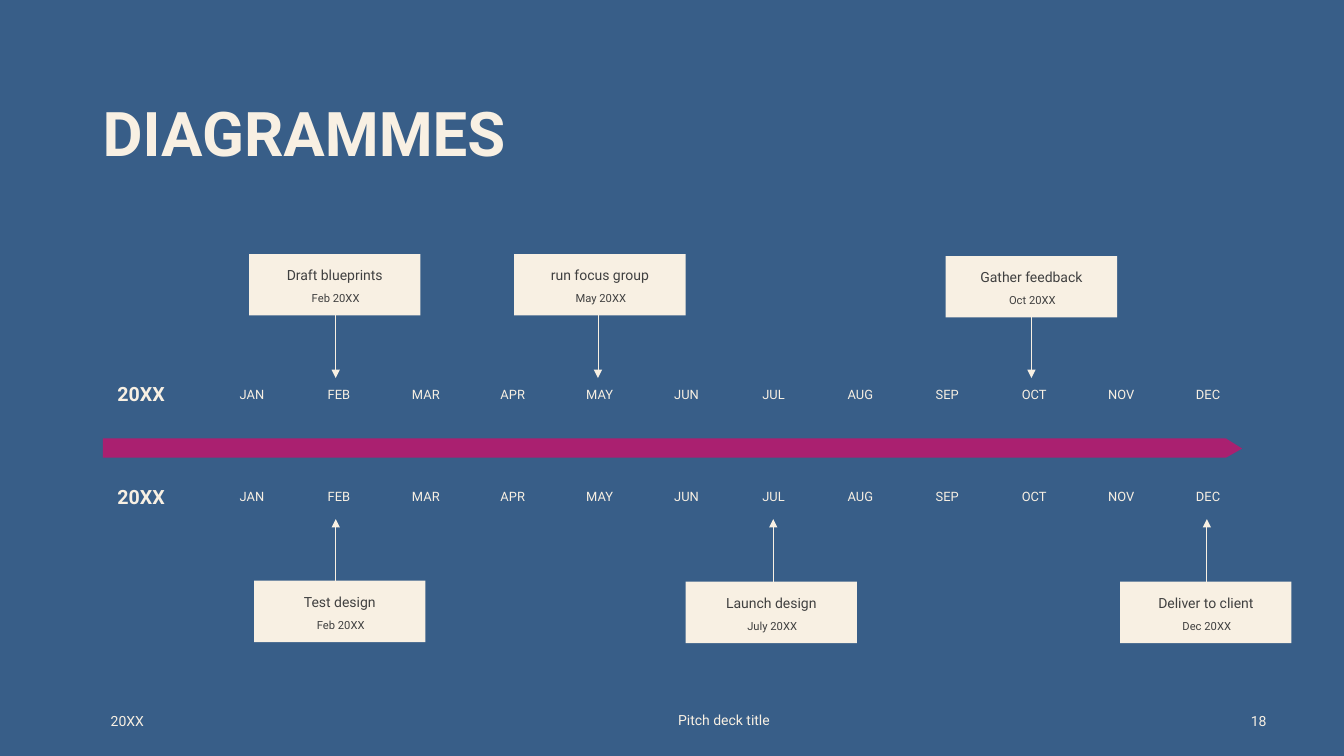
from lxml import etree
from pptx import Presentation
from pptx.dml.color import RGBColor
from pptx.enum.shapes import MSO_CONNECTOR, MSO_SHAPE
from pptx.enum.text import MSO_ANCHOR as Anchor, PP_ALIGN as Align
from pptx.oxml.ns import qn
from pptx.util import Inches, Pt

COLORS = {"blue": "385E88", "cream": "F8F0E3", "magenta": "AA2070", "dark": "404040"}
FONT = "Roboto"
TITLE = "DIAGRAMMES"
YEAR = "20XX"
MONTHS = ["JAN", "FEB", "MAR", "APR", "MAY", "JUN",
          "JUL", "AUG", "SEP", "OCT", "NOV", "DEC"]
# Task, date, card left, card top, arrow x
UPPER_CARDS = [
    ("Draft blueprints", "Feb 20XX", 2.47, 2.52, 3.33),
    ("run focus group", "May 20XX", 5.1, 2.52, 5.93),
    ("Gather feedback", "Oct 20XX", 9.38, 2.54, 10.23),
]
LOWER_CARDS = [
    ("Test design", "Feb 20XX", 2.52, 5.76, 3.33),
    ("Launch design", "July 20XX", 6.8, 5.77, 7.67),
    ("Deliver to client", "Dec 20XX", 11.11, 5.77, 11.97),
]
# Cards, arrow start y, arrow end y, year top, month top
TIMELINES = [
    (UPPER_CARDS, 2.95, 3.75, 3.67, 3.83),
    (LOWER_CARDS, 5.95, 5.15, 4.69, 4.84),
]
# Text, left, top, width, height, alignment
FOOTER = [
    (YEAR, 1, 6.95, 1.2, 0.4, Align.LEFT),
    ("Pitch deck title", 5.93, 6.94, 2.5, 0.4, Align.CENTER),
    ("18", 12.16, 6.95, 0.5, 0.4, Align.RIGHT),
]
BAR_OUTLINE = [(1.02, 4.35), (12.16, 4.35), (12.32, 4.45), (12.16, 4.54), (1.02, 4.54)]
CARD_WIDTH, CARD_HEIGHT = 1.7, 0.61
DATE_INSET, DATE_DROP = 0.06, 0.34
MONTH_LEFT, MONTH_PITCH = 2.15, 0.862


def rgb(name):
    return RGBColor.from_string(COLORS[name])


def set_text(shape, text, size, color="cream", align=Align.CENTER,
             spacing=0.9, anchor=Anchor.TOP, bold=False):
    frame = shape.text_frame
    frame.word_wrap = True
    frame.vertical_anchor = anchor
    paragraph = frame.paragraphs[0]
    paragraph.text = text
    paragraph.alignment = align
    paragraph.line_spacing = spacing
    font = paragraph.font
    font.name, font.size, font.bold = FONT, Pt(size), bold
    font.color.rgb = rgb(color)


def add_text(slide, text, left, top, width, height, size, **style):
    box = slide.shapes.add_textbox(Inches(left), Inches(top), Inches(width), Inches(height))
    set_text(box, text, size, **style)


def fill_plain(shape, color):
    shape.shadow.inherit = False
    shape.fill.solid()
    shape.fill.fore_color.rgb = rgb(color)
    shape.line.fill.background()


def add_bar(slide):
    points = [(Inches(x), Inches(y)) for x, y in BAR_OUTLINE]
    builder = slide.shapes.build_freeform(*points[0])
    builder.add_line_segments(points[1:], close=True)
    fill_plain(builder.convert_to_shape(), "magenta")


def add_arrow(slide, x, start, end):
    arrow = slide.shapes.add_connector(
        MSO_CONNECTOR.STRAIGHT, Inches(x), Inches(start), Inches(x), Inches(end))
    arrow.line.color.rgb = rgb("cream")
    arrow.line.width = Pt(0.5)
    etree.SubElement(arrow.line._get_or_add_ln(), qn("a:tailEnd"), type="triangle")
    etree.SubElement(arrow._element.spPr, qn("a:effectLst"))


def add_card(slide, task, date, left, top):
    card = slide.shapes.add_shape(MSO_SHAPE.RECTANGLE, Inches(left), Inches(top),
                                  Inches(CARD_WIDTH), Inches(CARD_HEIGHT))
    fill_plain(card, "cream")
    card.text_frame.margin_top = Inches(0.04)
    set_text(card, task, 10, color="dark", spacing=1.5)
    add_text(slide, date, left + DATE_INSET, top + DATE_DROP, 1.6, 0.25, 8, color="dark")


def add_timeline(slide, cards, arrow_start, arrow_end, year_top, month_top):
    for task, date, left, top, arrow_x in cards:
        add_arrow(slide, arrow_x, arrow_start, arrow_end)
        add_card(slide, task, date, left, top)
    add_text(slide, YEAR, 1, year_top, 0.8, 0.5, 14, anchor=Anchor.MIDDLE, bold=True)
    for index, month in enumerate(MONTHS):
        add_text(slide, month, MONTH_LEFT + index * MONTH_PITCH, month_top,
                 0.7, 0.22, 9.2, spacing=0.7)


def main():
    presentation = Presentation()
    presentation.slide_width, presentation.slide_height = Inches(13.33), Inches(7.5)
    slide = presentation.slides.add_slide(presentation.slide_layouts[6])
    slide.background.fill.solid()
    slide.background.fill.fore_color.rgb = rgb("blue")

    add_bar(slide)
    add_text(slide, TITLE, 0.92, 0.98, 11.5, 1.45, 44, align=Align.LEFT, bold=True)
    for timeline in TIMELINES:
        add_timeline(slide, *timeline)
    for text, left, top, width, height, align in FOOTER:
        add_text(slide, text, left, top, width, height, 10,
                 align=align, spacing=1.0, anchor=Anchor.MIDDLE)
    presentation.save("out.pptx")


if __name__ == "__main__":
    main()
